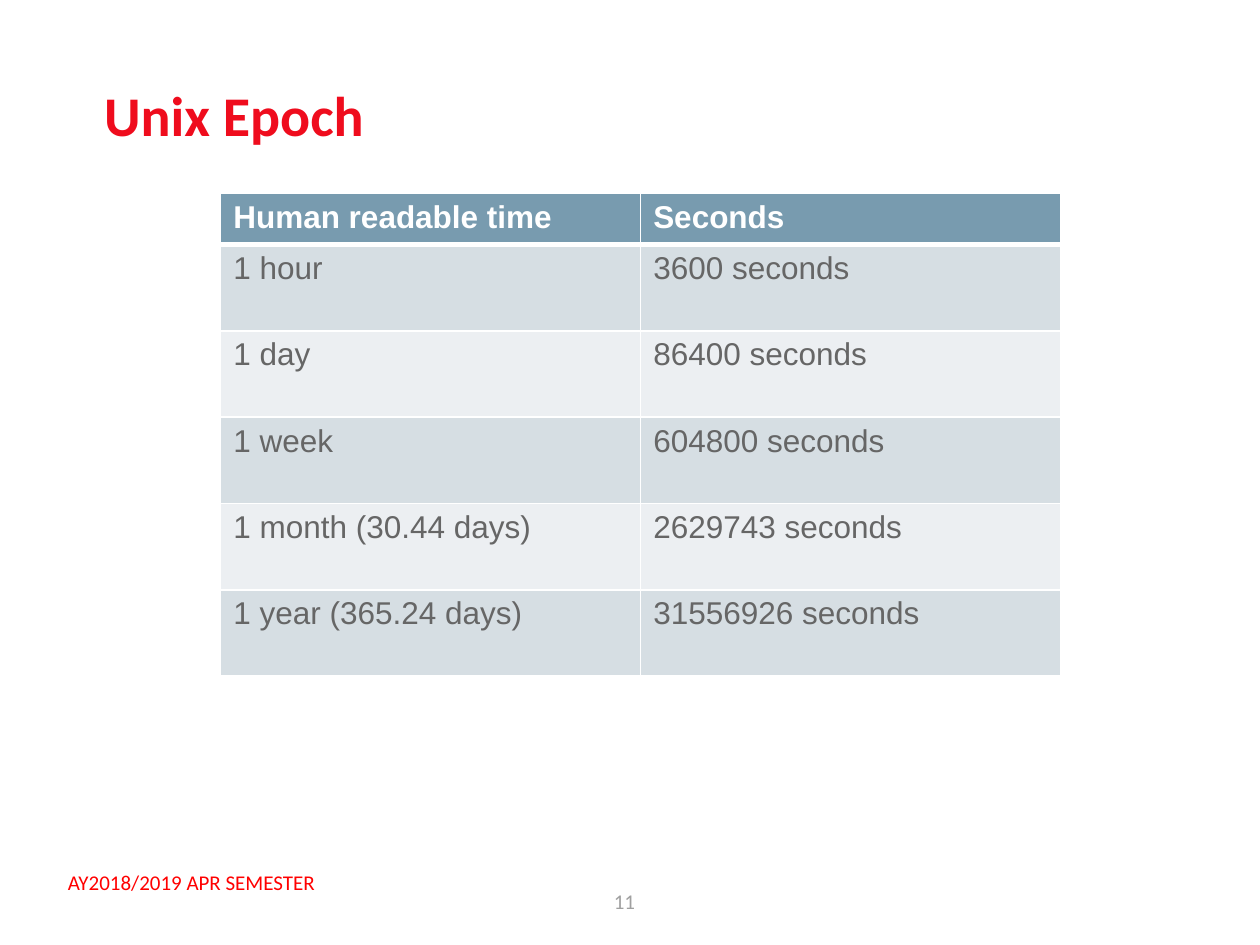
from dataclasses import dataclass

from lxml.etree import SubElement
from pptx import Presentation
from pptx.dml.color import RGBColor
from pptx.enum.text import MSO_ANCHOR, PP_ALIGN
from pptx.oxml.ns import qn
from pptx.util import Cm, Pt


@dataclass(frozen=True)
class Theme:
    head: str = "Calibri"
    body: str = "Arial"
    title: str = "EF0C1D"
    foot: str = "FF0000"
    page: str = "A0A0A0"
    text: str = "666666"
    white: str = "FFFFFF"
    top: str = "789BAF"
    bands: tuple = ("D6DEE3", "ECEFF2")
    big: int = 32
    mid: int = 18
    small: int = 12


def write(frame, text, font, size, color, bold=False, align=PP_ALIGN.LEFT):
    para = frame.paragraphs[0]
    para.alignment = align
    run = para.add_run()
    run.text = text
    run.font.name = font
    run.font.size = Pt(size)
    run.font.bold = bold
    run.font.color.rgb = RGBColor.from_string(color)


def edge(cell, color, base):
    """Draw the four cell borders; base is the width of the lower one."""
    props = cell._tc.get_or_add_tcPr()
    for side, width in (("L", 1), ("R", 1), ("T", 1), ("B", base)):
        line = SubElement(props, qn(f"a:ln{side}"), w=str(Pt(width)))
        fill = SubElement(line, qn("a:solidFill"))
        SubElement(fill, qn("a:srgbClr"), val=color)


class Page:
    def __init__(self, slide, theme):
        self.slide = slide
        self.theme = theme

    def label(self, text, left, top, width, height,
              anchor=MSO_ANCHOR.MIDDLE, wrap=True, **style):
        box = self.slide.shapes.add_textbox(
            Cm(left), Cm(top), Cm(width), Cm(height))
        frame = box.text_frame
        frame.word_wrap = wrap
        frame.vertical_anchor = anchor
        write(frame, text, **style)

    def grid(self, data, left, top, width, first, rest):
        """Add a table whose header row has height first, the others rest."""
        look = self.theme
        count = len(data)
        high = first + rest * (count - 1)
        table = self.slide.shapes.add_table(
            count, len(data[0]), Cm(left), Cm(top), Cm(width), Cm(high)).table
        for i, row in enumerate(data):
            head = i == 0
            table.rows[i].height = Cm(first if head else rest)
            shade = look.top if head else look.bands[(i - 1) % 2]
            for j, text in enumerate(row):
                cell = table.cell(i, j)
                # Borders must come before the fill in the cell properties
                edge(cell, look.white, 3 if head else 1)
                cell.fill.solid()
                cell.fill.fore_color.rgb = RGBColor.from_string(shade)
                write(cell.text_frame, text, font=look.body, size=look.mid,
                      color=look.white if head else look.text, bold=head)


def main():
    deck = Presentation()
    deck.slide_width, deck.slide_height = Cm(25.4), Cm(19.05)
    look = Theme()
    page = Page(deck.slides.add_slide(deck.slide_layouts[6]), look)

    page.label("AY2018/2019 APR SEMESTER", 1.12, 17.4, 5.56, 0.77,
               anchor=MSO_ANCHOR.TOP, wrap=False,
               font=look.head, size=look.small, color=look.foot)
    page.label("11", 9.63, 17.65, 5.92, 1.02, align=PP_ALIGN.CENTER,
               font=look.head, size=look.small, color=look.page)
    page.label("Unix Epoch", 1.85, 1.14, 22.15, 2.31,
               font=look.head, size=look.big, color=look.title, bold=True)
    page.grid([
        ("Human readable time", "Seconds"),
        ("1 hour", "3600 seconds"),
        ("1 day", "86400 seconds"),
        ("1 week", "604800 seconds"),
        ("1 month (30.44 days)", "2629743 seconds"),
        ("1 year (365.24 days)", "31556926 seconds"),
    ], left=4.45, top=3.9, width=16.93, first=1.03, rest=1.74)

    deck.save("out.pptx")


if __name__ == "__main__":
    main()
